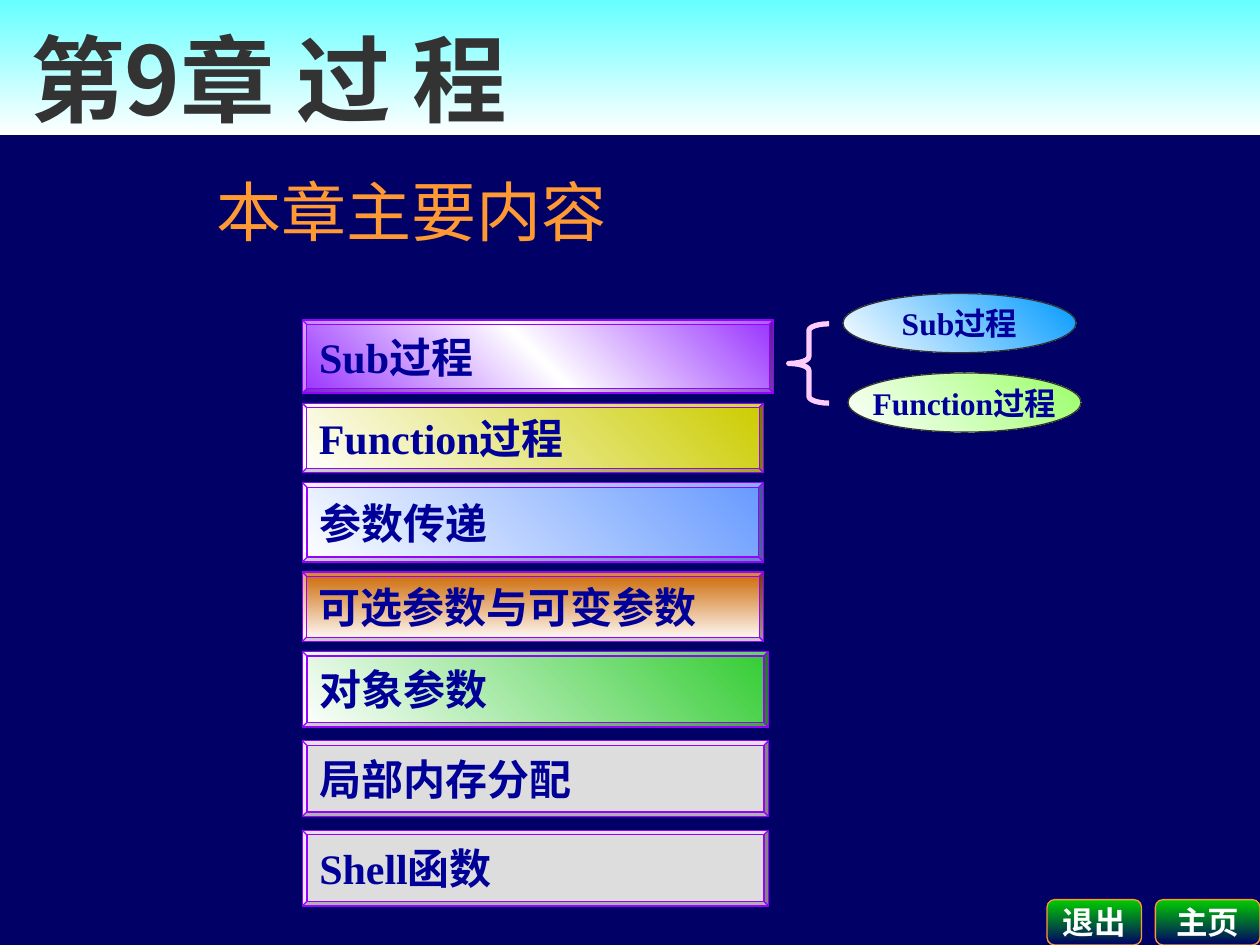
from copy import deepcopy
from typing import NamedTuple, Optional

from pptx import Presentation
from pptx import util as u
from pptx.dml.color import RGBColor
from pptx.enum import shapes, text
from pptx.oxml.ns import qn

NAVY = RGBColor(0x00, 0x00, 0x66)
WHITE = RGBColor(0xFF, 0xFF, 0xFF)
CYAN = RGBColor(0x66, 0xFF, 0xFF)
CHARCOAL = RGBColor(0x33, 0x33, 0x33)
ORANGE = RGBColor(0xFF, 0x99, 0x33)
GREEN = RGBColor(0x00, 0xCC, 0x00)
INK = RGBColor(0x00, 0x00, 0x99)
VIOLET = RGBColor(0x99, 0x00, 0xFF)
PURPLE = RGBColor(0x99, 0x33, 0xFF)
OLIVE = RGBColor(0xCC, 0xCC, 0x00)
PERIWINKLE = RGBColor(0x66, 0x99, 0xFF)
RUST = RGBColor(0xCC, 0x66, 0x00)
LEAF = RGBColor(0x33, 0xCC, 0x33)
GREY = RGBColor(0xDD, 0xDD, 0xDD)
LIME = RGBColor(0x99, 0xFF, 0x66)
SKY = RGBColor(0x00, 0x99, 0xFF)
PINK = RGBColor(0xFF, 0xCC, 0xFF)

SERIF = "Times New Roman"
SANS = "Noto Sans CJK JP"
DOWN, UP_RIGHT = 270, 45
KIND = shapes.MSO_SHAPE
ALIGN = text.PP_ALIGN
ANCHOR = text.MSO_ANCHOR


class Label(NamedTuple):
    words: str
    size: float
    color: RGBColor
    align: ALIGN = ALIGN.CENTER
    font: str = SERIF
    bold: bool = True


class Topic(NamedTuple):
    words: str
    top: float
    width: float
    height: float
    colors: tuple[RGBColor, ...]
    angle: int = UP_RIGHT


class Spot(NamedTuple):
    """A shape on the page that holds one short label."""
    words: str
    left: float
    top: float
    width: float
    height: float
    color: Optional[RGBColor] = None


TOPICS = [
    Topic("Sub过程", 2.54, 3.74, 0.58, (PURPLE, WHITE, PURPLE)),
    Topic("Function过程", 3.2, 3.66, 0.55, (WHITE, OLIVE)),
    Topic("参数传递", 3.83, 3.66, 0.63, (WHITE, PERIWINKLE)),
    Topic("可选参数与可变参数", 4.54, 3.66, 0.55, (RUST, WHITE), DOWN),
    Topic("对象参数", 5.17, 3.7, 0.6, (WHITE, LEAF)),
    Topic("局部内存分配", 5.88, 3.7, 0.6, (GREY,)),
    Topic("Shell函数", 6.59, 3.7, 0.6, (GREY,)),
]
OVALS = [
    Spot("Function过程", 6.73, 2.96, 1.85, 0.47, LIME),
    Spot("Sub过程", 6.69, 2.33, 1.85, 0.47, SKY),
]
BUTTONS = [
    Spot("退出", 8.31, 7.14, 0.75, 0.36),
    Spot("主页", 9.17, 7.14, 0.83, 0.36),
]


def paint(shape, colors: tuple[RGBColor, ...], angle: int) -> None:
    """Fill with one colour, or with an evenly spaced gradient of several."""
    fill = shape.fill
    if len(colors) == 1:
        fill.solid()
        fill.fore_color.rgb = colors[0]
        return
    fill.gradient()
    fill.gradient_angle = angle
    stop_list = shape._element.spPr.find(".//" + qn("a:gsLst"))
    while len(stop_list) < len(colors):
        stop_list.append(deepcopy(stop_list[0]))
    for index, (stop, color) in enumerate(zip(fill.gradient_stops, colors)):
        stop.color.rgb = color
        stop.position = index / (len(colors) - 1)


def write(shape, label: Label, anchor: ANCHOR = ANCHOR.MIDDLE) -> None:
    frame = shape.text_frame
    frame.word_wrap = False
    frame.vertical_anchor = anchor
    para = frame.paragraphs[0]
    para.text = label.words
    para.alignment = label.align
    font = para.font
    font.name = label.font
    font.size = u.Pt(label.size)
    font.bold = label.bold
    font.color.rgb = label.color


def add_shape(page, kind: KIND, left: float, top: float, width: float, height: float,
              line: Optional[RGBColor] = None, weight: float = 0.75):
    shape = page.shapes.add_shape(
        kind, u.Inches(left), u.Inches(top), u.Inches(width), u.Inches(height))
    shape.shadow.inherit = False
    if line is None:
        shape.line.fill.background()
    else:
        shape.line.color.rgb = line
        shape.line.width = u.Pt(weight)
    return shape


def add_heading(page) -> None:
    banner = add_shape(page, KIND.RECTANGLE, 0, 0, 10, 1.07)
    paint(banner, (CYAN, WHITE), DOWN)
    write(banner, Label("第9章 过 程", 54, CHARCOAL, ALIGN.LEFT, SANS), ANCHOR.BOTTOM)
    banner.text_frame.margin_left = u.Inches(0.24)
    banner.text_frame.margin_top = banner.text_frame.margin_bottom = 0

    box = page.shapes.add_textbox(
        u.Inches(1.62), u.Inches(1.31), u.Inches(8.1), u.Inches(0.9))
    write(box, Label("本章主要内容", 37.2, ORANGE, ALIGN.LEFT, bold=False), ANCHOR.TOP)


def add_topic(page, topic: Topic) -> None:
    bar = add_shape(page, KIND.BEVEL, 2.4, topic.top, topic.width, topic.height, VIOLET)
    bar.adjustments[0] = 0.06
    paint(bar, topic.colors, topic.angle)
    write(bar, Label(topic.words, 24, INK, ALIGN.LEFT))


def add_oval(page, spot: Spot) -> None:
    oval = add_shape(page, KIND.OVAL, spot.left, spot.top, spot.width, spot.height, CHARCOAL)
    paint(oval, (WHITE, spot.color), UP_RIGHT)
    write(oval, Label(spot.words, 18, INK))


def add_brace(page) -> None:
    brace = add_shape(page, KIND.LEFT_BRACE, 6.26, 2.57, 0.32, 0.63, PINK, 3)
    brace.adjustments[0] = 0.17
    brace.fill.background()


def add_button(page, spot: Spot) -> None:
    button = add_shape(page, KIND.ROUNDED_RECTANGLE, spot.left, spot.top,
                       spot.width, spot.height, ORANGE)
    paint(button, (GREEN, NAVY), DOWN)
    write(button, Label(spot.words, 18, WHITE))


def main() -> None:
    deck = Presentation()
    deck.slide_width, deck.slide_height = u.Inches(10), u.Inches(7.5)
    page = deck.slides.add_slide(deck.slide_layouts[6])
    page.background.fill.solid()
    page.background.fill.fore_color.rgb = NAVY
    add_heading(page)
    for topic in TOPICS:
        add_topic(page, topic)
    for oval in OVALS:
        add_oval(page, oval)
    add_brace(page)
    for button in BUTTONS:
        add_button(page, button)
    deck.save("out.pptx")


if __name__ == "__main__":
    main()
